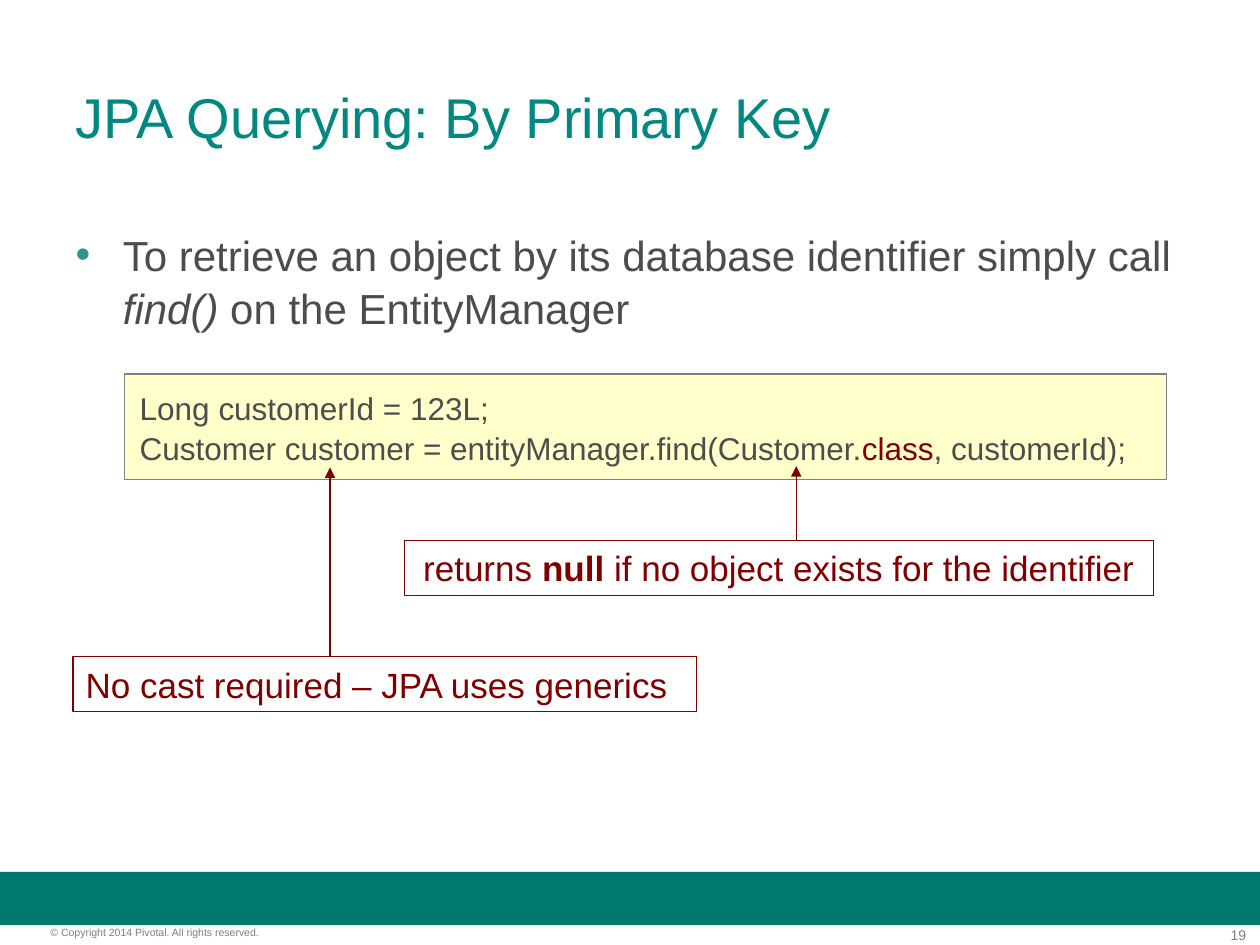
import pptx
import pptx.dml.color
import pptx.enum.shapes
import pptx.enum.text
import pptx.oxml
import pptx.oxml.ns
import pptx.util
from lxml import etree

Pt = pptx.util.Pt
RGBColor = pptx.dml.color.RGBColor
Align = pptx.enum.text.PP_ALIGN
Anchor = pptx.enum.text.MSO_ANCHOR
Shape = pptx.enum.shapes.MSO_SHAPE

WHITE = RGBColor(0xFF, 0xFF, 0xFF)
BAR_GREEN = RGBColor(0x00, 0x78, 0x6E)
TITLE_GREEN = RGBColor(0x00, 0x88, 0x81)
BULLET_GREEN = RGBColor(0x33, 0x92, 0x8A)
BODY_GRAY = RGBColor(0x4C, 0x4C, 0x4C)
CODE_GRAY = RGBColor(0x4D, 0x4D, 0x4D)
FOOTER_GRAY = RGBColor(0x7F, 0x7F, 0x7F)
BORDER_GRAY = RGBColor(0x80, 0x80, 0x80)
CODE_YELLOW = RGBColor(0xFF, 0xFF, 0xCC)
DARK_RED = RGBColor(0x80, 0x00, 0x00)

PADDED = {"margin_left": Pt(7.2), "margin_right": Pt(7.2),
          "margin_top": Pt(3.6), "margin_bottom": Pt(3.6)}
BARE = dict.fromkeys(PADDED, 0)


def apply(target, values):
    """Set every named attribute of the target."""
    for name, value in values.items():
        setattr(target, name, value)


def place(item, left, top, width, height):
    """Move and size an element, in points."""
    apply(item, {"left": Pt(left), "top": Pt(top),
                 "width": Pt(width), "height": Pt(height)})


def write(box, lines, size, color, frame_format, para_format):
    """Fill a box with lines, each a list of (text, font format) spans."""
    frame = box.text_frame
    apply(frame, {"word_wrap": True, **frame_format})
    for index, spans in enumerate(lines):
        para = frame.paragraphs[0] if index == 0 else frame.add_paragraph()
        apply(para, {"alignment": Align.LEFT, "space_before": Pt(0), **para_format})
        for text, font_format in spans:
            span = para.add_run()
            span.text = text
            font_values = {"name": "Arial", "size": Pt(size), **font_format}
            span.font.color.rgb = font_values.pop("color", color)
            apply(span.font, font_values)


def add_rectangle(page, bounds, fill, border=None, border_width=0):
    """Draw a flat rectangle with an optional border."""
    box = page.shapes.add_shape(Shape.RECTANGLE, *map(Pt, bounds))
    box.shadow.inherit = False
    box.fill.solid()
    box.fill.fore_color.rgb = fill
    if border is None:
        box.line.fill.background()
    else:
        box.line.color.rgb = border
        box.line.width = Pt(border_width)
    return box


def add_footer(page, bounds, text, size, alignment):
    """Write a small gray footer text."""
    box = page.shapes.add_textbox(*map(Pt, bounds))
    write(box, [[(text, {})]], size, FOOTER_GRAY, BARE, {"alignment": alignment})


def add_callout(page, bounds, spans, alignment):
    """Draw a red-bordered comment box."""
    box = add_rectangle(page, bounds, WHITE, DARK_RED, 0.75)
    frame_format = {**PADDED, "word_wrap": False, "vertical_anchor": Anchor.MIDDLE}
    write(box, [spans], 20, DARK_RED, frame_format, {"alignment": alignment})


def add_arrow(page, x, start, end):
    """Draw a vertical arrow from start to end."""
    arrow = page.shapes.add_connector(
        pptx.enum.shapes.MSO_CONNECTOR.STRAIGHT, Pt(x), Pt(start), Pt(x), Pt(end))
    arrow.line.color.rgb = DARK_RED
    arrow.line.width = Pt(0.75)
    head = etree.SubElement(arrow.line._get_or_add_ln(), pptx.oxml.ns.qn("a:tailEnd"))
    head.set("type", "triangle")
    etree.SubElement(arrow._element.spPr, pptx.oxml.ns.qn("a:effectLst"))


def add_bullet(para, indent):
    """Give a paragraph a coloured bullet and a hanging indent."""
    properties = para._p.get_or_add_pPr()
    properties.set("marL", str(Pt(indent)))
    properties.set("indent", str(-Pt(indent)))
    color = etree.SubElement(properties, pptx.oxml.ns.qn("a:buClr"))
    etree.SubElement(color, pptx.oxml.ns.qn("a:srgbClr")).set("val", str(BULLET_GREEN))
    etree.SubElement(properties, pptx.oxml.ns.qn("a:buFont")).set("typeface", "Arial")
    etree.SubElement(properties, pptx.oxml.ns.qn("a:buChar")).set("char", "•")


def add_title(page, text):
    """Fill the title placeholder."""
    title = page.shapes.title
    place(title, 36, 21.6, 648, 90)
    frame_format = {**PADDED, "vertical_anchor": Anchor.MIDDLE,
                    "auto_size": pptx.enum.text.MSO_AUTO_SIZE.NONE}
    write(title, [[(text, {})]], 32, TITLE_GREEN, frame_format, {})


def add_body(page, spans):
    """Fill the body placeholder with one bullet."""
    body = page.placeholders[1]
    place(body, 36, 126, 648, 356.4)
    add_bullet(body.text_frame.paragraphs[0], 27)
    frame_format = {**PADDED, "vertical_anchor": Anchor.TOP,
                    "auto_size": pptx.enum.text.MSO_AUTO_SIZE.NONE}
    write(body, [spans], 24, BODY_GRAY, frame_format, {"line_spacing": 1.05})


def add_code(page, bounds, lines):
    """Draw the code panel."""
    panel = add_rectangle(page, bounds, CODE_YELLOW, BORDER_GRAY)
    frame_format = {**PADDED, "margin_left": Pt(8.64), "vertical_anchor": Anchor.MIDDLE}
    write(panel, lines, 18, CODE_GRAY, frame_format, {"line_spacing": 1.05})


def main():
    """Build the slide and save it."""
    deck = pptx.Presentation()
    apply(deck, {"slide_width": Pt(720), "slide_height": Pt(540)})
    page = deck.slides.add_slide(deck.slide_layouts[1])
    add_rectangle(page, (0, 498.24, 720, 30.24), BAR_GREEN)
    add_footer(page, (670.3, 529.2, 41.8, 9.4), "19", 8, Align.RIGHT)
    add_footer(page, (28.8, 529.2, 179.3, 7.2),
               "© Copyright 2014 Pivotal. All rights reserved.", 6, Align.LEFT)
    add_title(page, "JPA Querying: By Primary Key")
    add_body(page, [
        ("To retrieve an object by its database identifier simply call ", {}),
        ("find()", {"italic": True}),
        (" on the EntityManager", {}),
    ])
    add_code(page, (71.2, 213.8, 595.5, 60.4), [
        [("Long customerId = 123L;", {})],
        [("Customer customer = entityManager.find(Customer.", {}),
         ("class", {"color": DARK_RED}),
         (", customerId);", {})],
    ])
    add_callout(page, (231.1, 308.7, 427.9, 31.5), [
        ("returns ", {}),
        ("null ", {"bold": True}),
        ("if no object exists for the identifier", {}),
    ], Align.CENTER)
    add_arrow(page, 455, 308.7, 266.4)
    add_arrow(page, 188.6, 375.1, 267.1)
    add_callout(page, (41.8, 375.1, 356.2, 31.5),
                [("No cast required – JPA uses generics", {})], Align.LEFT)
    deck.save("out.pptx")


if __name__ == "__main__":
    main()
